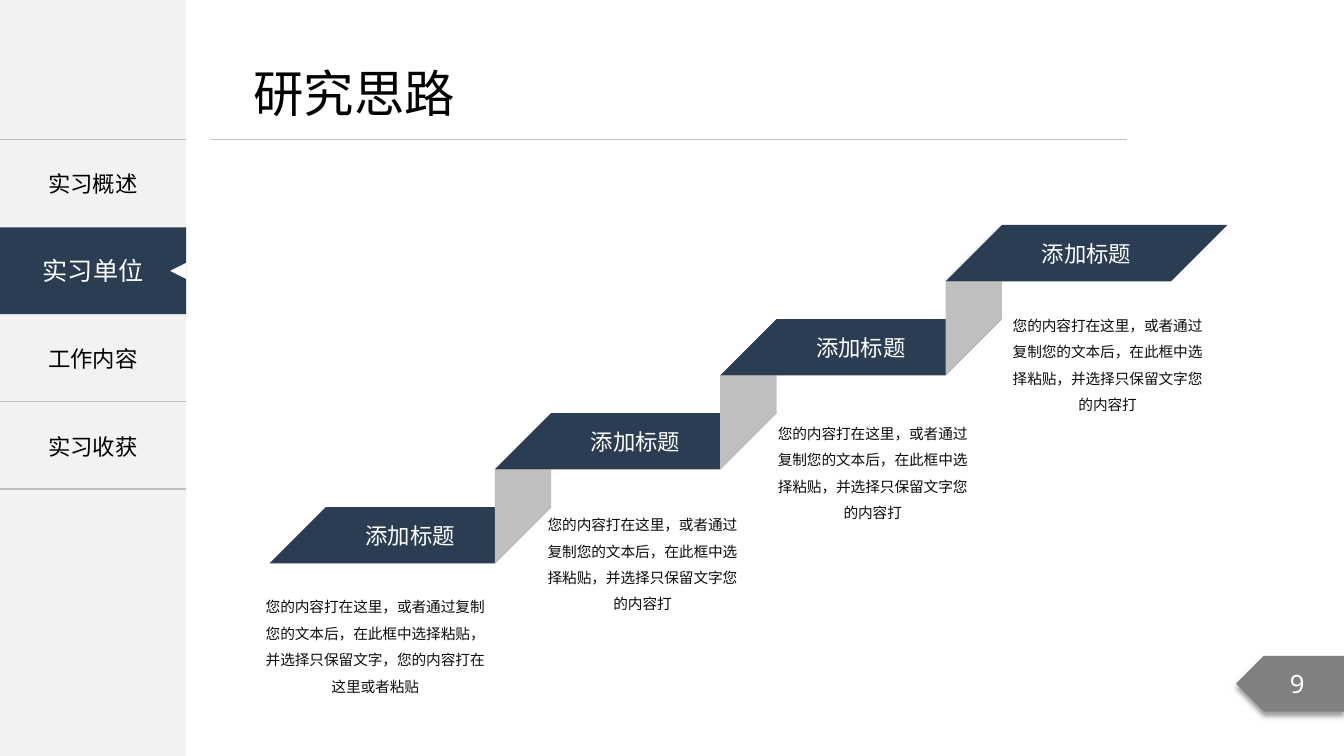
from lxml import etree
from pptx import Presentation
from pptx.dml.color import RGBColor
from pptx.enum.shapes import MSO_CONNECTOR, MSO_SHAPE
from pptx.enum.text import MSO_ANCHOR, MSO_AUTO_SIZE, PP_ALIGN
from pptx.oxml import parse_xml
from pptx.oxml.ns import nsdecls, qn
from pptx.util import Cm, Pt

NAVY = RGBColor(0x2A, 0x3D, 0x52)
PALE = RGBColor(0xF2, 0xF2, 0xF2)
SILVER = RGBColor(0xBF, 0xBF, 0xBF)
GRAY = RGBColor(0x80, 0x80, 0x80)
INK = RGBColor(0x0D, 0x0D, 0x0D)
BLACK = RGBColor(0, 0, 0)
WHITE = RGBColor(0xFF, 0xFF, 0xFF)
CJK = "Noto Sans CJK SC"
CENTER, LEFT = PP_ALIGN.CENTER, PP_ALIGN.LEFT
MIDDLE, TOP = MSO_ANCHOR.MIDDLE, MSO_ANCHOR.TOP


def write(tf, text, size, color, font=CJK, align=CENTER):
    p = tf.paragraphs[0]
    p.text = text
    p.alignment = align
    p.font.size = Pt(size)
    p.font.color.rgb = color
    p.font.name = font
    props = p._p.pPr.find(qn("a:defRPr"))
    etree.SubElement(props, qn("a:ea"), typeface=font)
    return p


def paint(sp, color):
    sp.shadow.inherit = False
    sp.fill.solid()
    sp.fill.fore_color.rgb = color
    sp.line.fill.background()
    return sp


prs = Presentation()
prs.slide_width, prs.slide_height = Cm(33.87), Cm(19.05)
s = prs.slides.add_slide(prs.slide_layouts[5])
shapes = s.shapes

# Title and the rule below it
title = shapes.title
title.left, title.top, title.width, title.height = Cm(6.13), Cm(1.42), Cm(5.64), Cm(1.8)
tf = title.text_frame
tf.word_wrap = False
tf.auto_size = MSO_AUTO_SIZE.NONE
tf.vertical_anchor = MIDDLE
write(tf, "研究思路", 36, BLACK, align=LEFT)

rule = shapes.add_connector(MSO_CONNECTOR.STRAIGHT, Cm(5.3), Cm(3.52), Cm(28.4), Cm(3.52))
rule.line.color.rgb = SILVER
rule.line.width = Pt(0.5)
etree.SubElement(rule._element.spPr, qn("a:effectLst"))

# Sidebar with the first chapter and the highlighted current one
paint(shapes.add_shape(MSO_SHAPE.RECTANGLE, 0, 0, Cm(4.69), Cm(19.05)), PALE)
first = shapes.add_textbox(0, Cm(3.52), Cm(4.69), Cm(2.19))
first.text_frame.word_wrap = True
first.text_frame.vertical_anchor = MIDDLE
write(first.text_frame, "实习概述", 16, BLACK)

current = paint(shapes.add_shape(MSO_SHAPE.RECTANGLE, 0, Cm(5.73), Cm(4.69), Cm(2.19)), NAVY)
current.text_frame.vertical_anchor = MIDDLE
write(current.text_frame, "实习单位", 18, WHITE)
pointer = paint(shapes.add_shape(MSO_SHAPE.ISOSCELES_TRIANGLE, Cm(4.29), Cm(6.62), Cm(0.41), Cm(0.41)), WHITE)
pointer.rotation = 270

# Ruled table with the remaining chapters
chapters = ["", "", "工作内容", "实习收获"]
edges = {0: ["lnT"], 2: ["lnB"], 3: ["lnB"]}
menu = shapes.add_table(4, 1, 0, Cm(3.52), Cm(4.69), Cm(8.8)).table
menu.first_row = menu.horz_banding = False
menu._tbl.tblPr.find(qn("a:tableStyleId")).text = "{2D5ABB26-0587-4C30-8999-92F81FD0307C}"
for i, chapter in enumerate(chapters):
    menu.rows[i].height = Cm(2.2)
    cell = menu.cell(i, 0)
    cell.vertical_anchor = MIDDLE
    for edge in edges.get(i, []):
        cell._tc.get_or_add_tcPr().append(parse_xml(
            f'<a:{edge} {nsdecls("a")} w="12700"><a:solidFill>'
            f'<a:srgbClr val="{SILVER}"/></a:solidFill></a:{edge}>'))
    cell.fill.background()
    if chapter:
        write(cell.text_frame, chapter, 16, BLACK)

# Page number tag
tag = paint(shapes.add_shape(MSO_SHAPE.PENTAGON, Cm(31.15), Cm(16.53), Cm(2.73), Cm(1.4)), GRAY)
tag._element.spPr.find(qn("a:xfrm")).set("flipH", "1")
tag._element.spPr.find(qn("a:effectLst")).append(parse_xml(
    f'<a:outerShdw {nsdecls("a")} blurRad="50800" dist="38100" dir="5400000" algn="t" rotWithShape="0">'
    '<a:srgbClr val="000000"><a:alpha val="40000"/></a:srgbClr></a:outerShdw>'))
tag.text_frame.vertical_anchor = MIDDLE
write(tag.text_frame, "9", 18, WHITE, "Noto Sans Mono")

# Staircase: each tread is followed by the riser to the next one
STEPS, RUN, RISE, DEPTH = 4, 5.68, 2.37, 1.42
for i in range(STEPS):
    x, y = 6.79 + i * RUN, 12.78 - i * RISE
    tread = paint(shapes.add_shape(MSO_SHAPE.FLOWCHART_DATA, Cm(x), Cm(y), Cm(RUN + DEPTH), Cm(DEPTH)), NAVY)
    tread.text_frame.vertical_anchor = MIDDLE
    write(tread.text_frame, "添加标题", 16, WHITE, "Lato")
    if i < STEPS - 1:
        x += RUN
        top = y + DEPTH - RISE
        fb = shapes.build_freeform(Cm(x), Cm(y + DEPTH))
        fb.add_line_segments([(Cm(x), Cm(top)), (Cm(x + DEPTH), Cm(top)), (Cm(x + DEPTH), Cm(y))])
        paint(fb.convert_to_shape(), SILVER)

# Descriptions under the treads
SHORT = "您的内容打在这里，或者通过复制您的文本后，在此框中选择粘贴，并选择只保留文字您的内容打"
LONG = "您的内容打在这里，或者通过复制您的文本后，在此框中选择粘贴，并选择只保留文字，您的内容打在这里或者粘贴"
notes = [
    (6.45, 14.77, 6.02, LONG),
    (13.53, 12.7, 5.33, SHORT),
    (19.33, 10.4, 5.33, SHORT),
    (25.25, 7.68, 5.33, SHORT),
]
for x, y, width, text in notes:
    tf = shapes.add_textbox(Cm(x), Cm(y), Cm(width), Cm(2.82)).text_frame
    tf.word_wrap = True
    tf.vertical_anchor = TOP
    tf.margin_left = tf.margin_right = Cm(0.13)
    tf.margin_top = tf.margin_bottom = Cm(0.08)
    write(tf, text, 10.5, INK).line_spacing = 1.5

prs.save("out.pptx")
